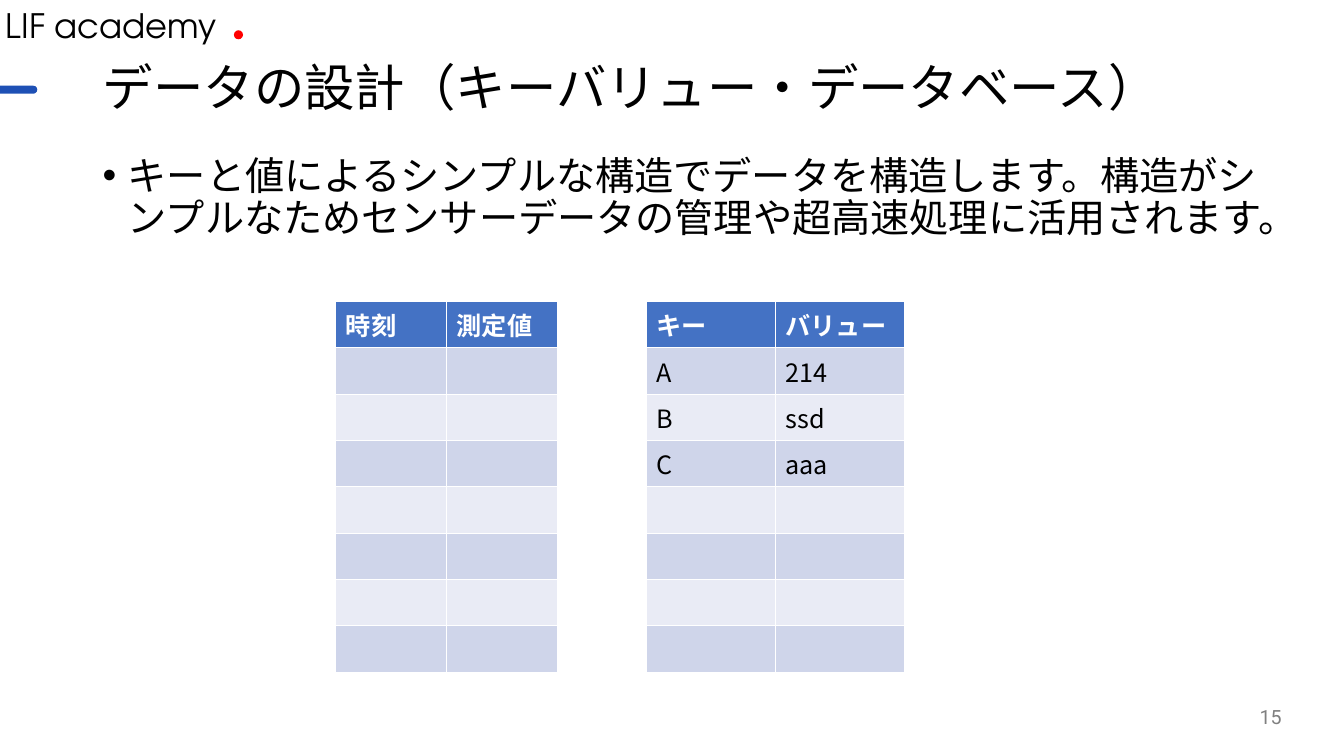
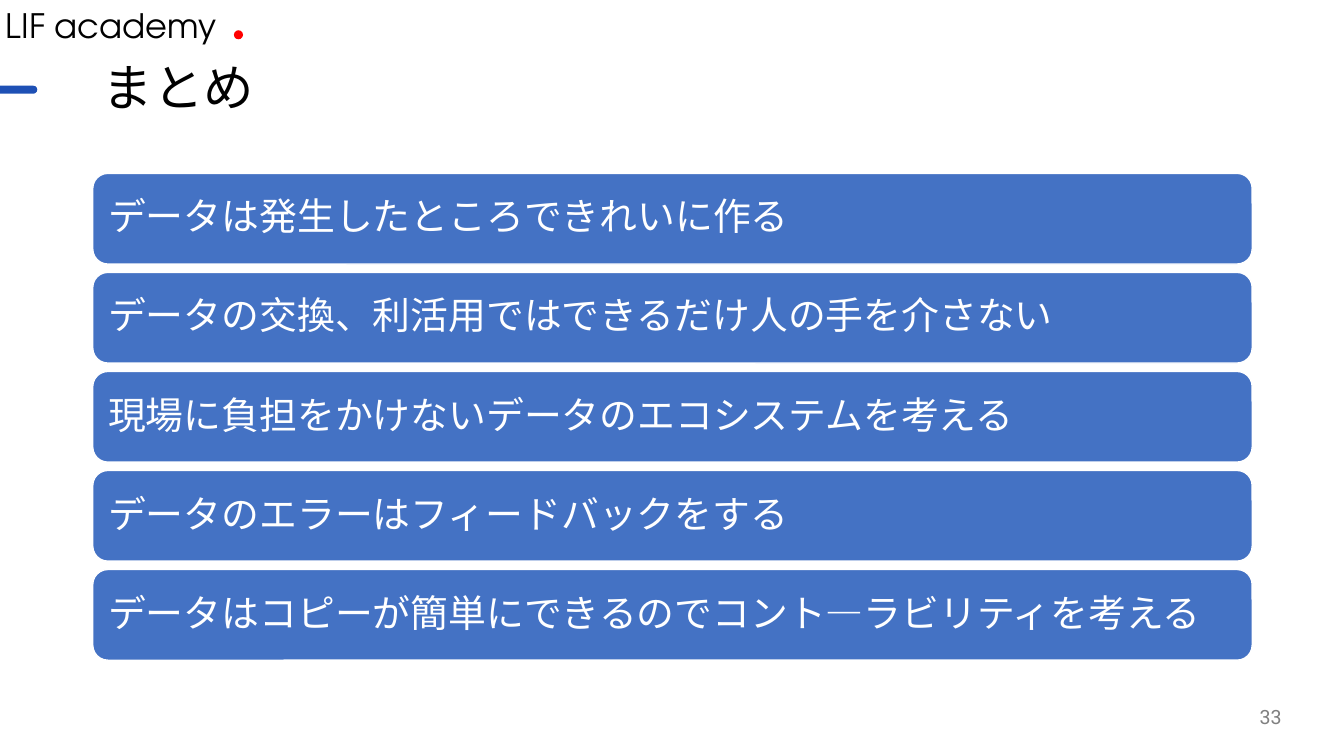
from dataclasses import dataclass

from lxml.etree import SubElement
from pptx import Presentation
from pptx.dml.color import RGBColor
from pptx.enum.shapes import MSO_SHAPE
from pptx.enum.text import MSO_ANCHOR, PP_ALIGN
from pptx.oxml.ns import qn
from pptx.util import Inches, Pt


@dataclass(frozen=True)
class Theme:
    ink: RGBColor = RGBColor(0x00, 0x00, 0x00)
    white: RGBColor = RGBColor(0xFF, 0xFF, 0xFF)
    grey: RGBColor = RGBColor(0x80, 0x80, 0x80)
    blue: RGBColor = RGBColor(0x44, 0x72, 0xC4)
    dash: RGBColor = RGBColor(0x1E, 0x50, 0xB5)
    red: RGBColor = RGBColor(0xFF, 0x00, 0x00)
    band_dark: RGBColor = RGBColor(0xCF, 0xD5, 0xEA)
    band_light: RGBColor = RGBColor(0xE9, 0xEB, 0xF5)
    brand_face: str = "TeX Gyre Adventor"
    title_face: str = "Roboto"
    body_face: str = "Noto Sans CJK JP"
    title_size: int = 36
    body_size: int = 28
    card_size: int = 27
    brand_size: int = 24
    table_size: int = 18
    number_size: int = 14


theme = Theme()


def write(frame, text, face, size, color, bold=False, **paragraph_format):
    """Fill a text frame with one paragraph, its face set for Latin and Japanese."""
    paragraph = frame.paragraphs[0]
    for key, value in paragraph_format.items():
        setattr(paragraph, key, value)
    run = paragraph.add_run()
    run.text = text
    for key, value in {"name": face, "size": Pt(size), "bold": bold}.items():
        setattr(run.font, key, value)
    run.font.color.rgb = color
    SubElement(run.font._element, qn("a:ea"), typeface=face)
    return paragraph


def add_filled(slide, kind, box, fill, outline=None):
    shape = slide.shapes.add_shape(kind, *map(Inches, box))
    shape.shadow.inherit = False
    shape.fill.solid()
    shape.fill.fore_color.rgb = fill
    if outline is None:
        shape.line.fill.background()
    else:
        shape.line.color.rgb = outline
        shape.line.width = Pt(1)
    return shape


prs = Presentation()
prs.slide_width, prs.slide_height = Inches(13.33), Inches(7.5)

# Title, brand line, dash and page number shared by all slides
pages = [("データの設計（キーバリュー・データベース）", "15"), ("まとめ", "33")]
slides = []
for heading, page_number in pages:
    slide = prs.slides.add_slide(prs.slide_layouts[5])
    slides.append(slide)

    title = slide.shapes.title
    title.left, title.top, title.width, title.height = map(Inches, (0.92, 0.57, 11.5, 0.65))
    title.text_frame.vertical_anchor = MSO_ANCHOR.MIDDLE
    write(title.text_frame, heading, theme.title_face, theme.title_size, theme.ink,
          alignment=PP_ALIGN.LEFT, line_spacing=0.9)

    add_filled(slide, MSO_SHAPE.OVAL, (2.32, 0.3, 0.09, 0.09), theme.red)
    brand = slide.shapes.add_textbox(*map(Inches, (-0.04, 0, 2.45, 0.5)))
    write(brand.text_frame, "LIF academy", theme.brand_face, theme.brand_size, theme.ink)
    dash = add_filled(slide, MSO_SHAPE.ROUNDED_RECTANGLE, (-0.1, 0.85, 0.47, 0.08), theme.dash)
    dash.adjustments[0] = 0.5

    number = slide.shapes.add_textbox(*map(Inches, (9.81, 6.91, 3, 0.4)))
    number.text_frame.word_wrap = True
    number.text_frame.vertical_anchor = MSO_ANCHOR.MIDDLE
    write(number.text_frame, page_number, theme.title_face, theme.number_size, theme.grey,
          alignment=PP_ALIGN.RIGHT)

design, summary = slides

# Key-value design
lead = design.shapes.add_textbox(*map(Inches, (0.92, 1.5, 11.9, 1.61)))
lead.text_frame.word_wrap = True
lead_paragraph = write(
    lead.text_frame,
    "キーと値によるシンプルな構造でデータを構造します。"
    "構造がシンプルなためセンサーデータの管理や超高速処理に活用されます。",
    theme.body_face, theme.body_size, theme.ink, line_spacing=0.9, space_before=Pt(10))
bullet_format = lead_paragraph._p.get_or_add_pPr()
bullet_format.set("marL", str(Inches(0.25)))
bullet_format.set("indent", str(Inches(-0.25)))
SubElement(bullet_format, qn("a:buFont"), typeface="Arial")
SubElement(bullet_format, qn("a:buChar"), char="•")

ROW_COUNT, ROW_HEIGHT = 8, 0.46
key_value_tables = [
    (3.33, 1.1, [("時刻", "測定値")]),
    (6.41, 1.28, [("キー", "バリュー"), ("A", "214"), ("B", "ssd"), ("C", "aaa")]),
]
for left, column_width, records in key_value_tables:
    table = design.shapes.add_table(
        ROW_COUNT, 2, Inches(left), Inches(2.99),
        Inches(2 * column_width), Inches(ROW_COUNT * ROW_HEIGHT)).table
    for row_index in range(ROW_COUNT):
        is_header = row_index == 0
        band = theme.band_dark if row_index % 2 else theme.band_light
        for column_index in range(2):
            cell = table.cell(row_index, column_index)
            cell.fill.solid()
            cell.fill.fore_color.rgb = theme.blue if is_header else band
            if row_index < len(records):
                write(cell.text_frame, records[row_index][column_index],
                      theme.body_face, theme.table_size,
                      theme.white if is_header else theme.ink, bold=is_header)

# Summary cards
messages = [
    "データは発生したところできれいに作る",
    "データの交換、利活用ではできるだけ人の手を介さない",
    "現場に負担をかけないデータのエコシステムを考える",
    "データのエラーはフィードバックをする",
    "データはコピーが簡単にできるのでコント―ラビリティを考える",
]
FIRST_TOP, LAST_TOP = 1.72, 5.65
pitch = (LAST_TOP - FIRST_TOP) / (len(messages) - 1)
for index, message in enumerate(messages):
    card = add_filled(summary, MSO_SHAPE.ROUNDED_RECTANGLE,
                      (0.92, FIRST_TOP + index * pitch, 11.5, 0.9), theme.blue, theme.white)
    frame = card.text_frame
    card_format = {"word_wrap": True, "vertical_anchor": MSO_ANCHOR.MIDDLE,
                   "margin_left": Inches(0.11), "margin_right": Inches(0.11)}
    for key, value in card_format.items():
        setattr(frame, key, value)
    write(frame, message, theme.body_face, theme.card_size, theme.white,
          alignment=PP_ALIGN.LEFT, line_spacing=0.9)

prs.save("out.pptx")
